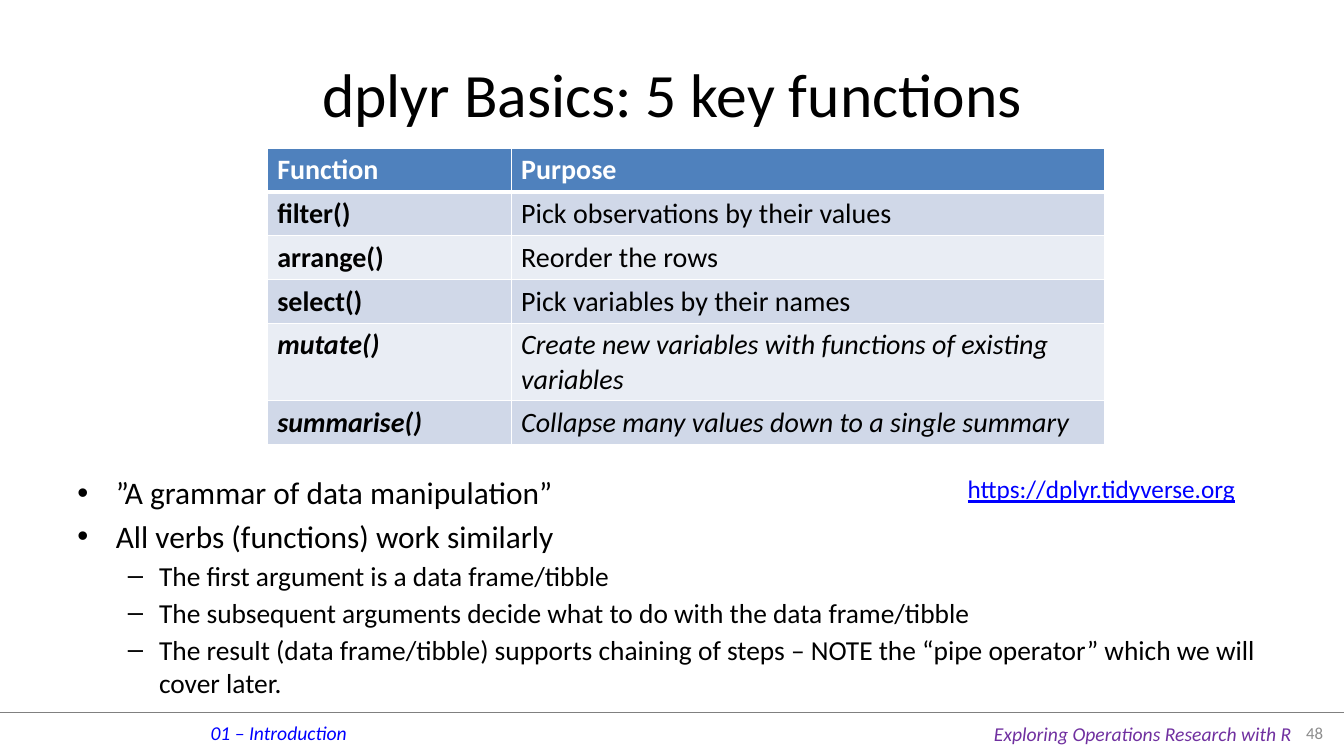
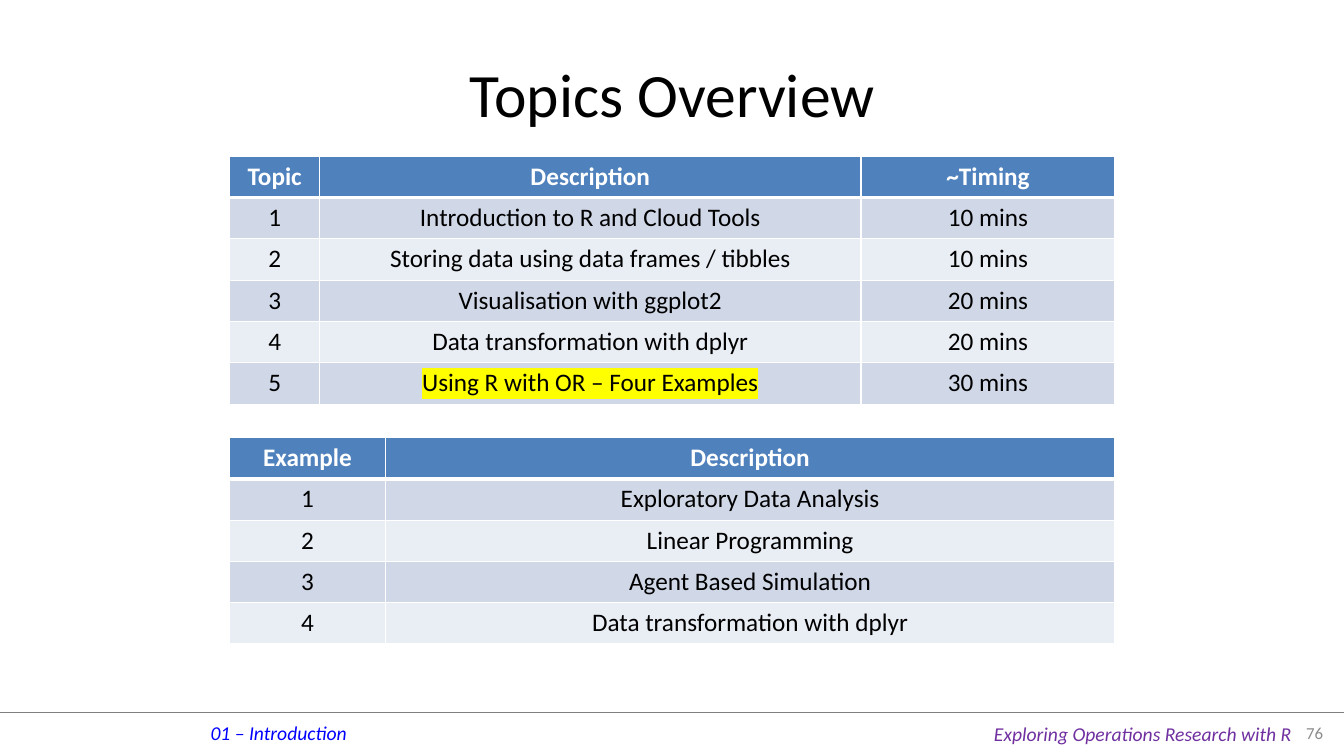
import pptx
import pptx.dml.color
import pptx.enum.shapes
import pptx.enum.text
import pptx.oxml
import pptx.oxml.ns
import pptx.util
from lxml import etree

In, Pt = pptx.util.Inches, pptx.util.Pt
ALIGN = pptx.enum.text.PP_ALIGN
ANCHOR = pptx.enum.text.MSO_ANCHOR
qn = pptx.oxml.ns.qn

WIDTH, HEIGHT = 13.33, 7.5
FONT = "Calibri"
BLACK, WHITE, GREY, RULE = "000000", "FFFFFF", "8C8C8C", "808080"
BLUE, PURPLE, YELLOW = "0000FF", "7030A0", "FFFF00"
HEADER, BANDS = "4F81BD", ("D0D8E8", "E9EDF4")
ROW_H, FOOT_Y = 0.41, 7.07
MARGIN, BODY_W, BODY_Y = 0.67, 12, 4.65

FUNCTIONS = [
    ("Function", "Purpose"),
    ("filter()", "Pick observations by their values"),
    ("arrange()", "Reorder the rows"),
    ("select()", "Pick variables by their names"),
    ("mutate()", "Create new variables with functions of existing variables"),
    ("summarise()", "Collapse many values down to a single summary"),
]
ITALIC_ROWS = (4, 5)
BULLETS = [
    (0, "”A grammar of data manipulation”"),
    (0, "All verbs (functions) work similarly"),
    (1, "The first argument is a data frame/tibble"),
    (1, "The subsequent arguments decide what to do with the data frame/tibble"),
    (1, "The result (data frame/tibble) supports chaining of steps – NOTE the "
        "“pipe operator” which we will cover later."),
]
# level: bullet, left indent, hanging indent, size, space before
LEVELS = [("•", 0.38, 0.38, 22.4, 4), ("–", 0.81, 0.31, 19.6, 3)]
TOPICS = [
    ("Topic", "Description", "~Timing"),
    ("1", "Introduction to R and Cloud Tools", "10 mins"),
    ("2", "Storing data using data frames / tibbles", "10 mins"),
    ("3", "Visualisation with ggplot2", "20 mins"),
    ("4", "Data transformation with dplyr", "20 mins"),
    ("5", "Using R with OR – Four Examples", "30 mins"),
]
CURRENT_TOPIC = (5, 1)
EXAMPLES = [
    ("Example", "Description"),
    ("1", "Exploratory Data Analysis"),
    ("2", "Linear Programming"),
    ("3", "Agent Based Simulation"),
    ("4", "Data transformation with dplyr"),
]


def rgb(color):
    return pptx.dml.color.RGBColor.from_string(color)


def add_run(p, text, size, color=BLACK, bold=False, italic=False, underline=False):
    r = p.add_run()
    r.text = text
    f = r.font
    f.name, f.size, f.color.rgb = FONT, Pt(size), rgb(color)
    f.bold, f.italic, f.underline = bold, italic, underline
    return r


def highlight(r, color):
    mark = etree.Element(qn("a:highlight"))
    etree.SubElement(mark, qn("a:srgbClr"), val=color)
    r.font._element.find(qn("a:solidFill")).addnext(mark)


def add_box(s, x, y, w, h, wrap=True, anchor=ANCHOR.TOP):
    tf = s.shapes.add_textbox(In(x), In(y), In(w), In(h)).text_frame
    tf.word_wrap, tf.vertical_anchor = wrap, anchor
    return tf


def add_line_of_text(s, box, text, size, align=ALIGN.LEFT, wrap=True,
                     anchor=ANCHOR.TOP, **style):
    p = add_box(s, *box, wrap=wrap, anchor=anchor).paragraphs[0]
    p.alignment = align
    add_run(p, text, size, **style)


def add_bullets(s, items):
    tf = add_box(s, MARGIN, BODY_Y, BODY_W, 2.17)
    for i, (level, text) in enumerate(items):
        char, left, hang, size, before = LEVELS[level]
        p = tf.add_paragraph() if i else tf.paragraphs[0]
        pPr = p._p.get_or_add_pPr()
        pPr.set("marL", str(In(left)))
        pPr.set("indent", str(-In(hang)))
        etree.SubElement(pPr, qn("a:buFont"), typeface="Arial")
        etree.SubElement(pPr, qn("a:buChar"), char=char)
        p.level = level
        if i:
            p.space_before = Pt(before)
        add_run(p, text, size)


def set_borders(cell, row):
    """White grid, with a heavier line under the header row."""
    widths = {"L": 1, "R": 1, "T": 3 if row == 1 else 1, "B": 3 if row == 0 else 1}
    tcPr = cell._tc.get_or_add_tcPr()
    for i, (side, width) in enumerate(widths.items()):
        ln = etree.Element(qn("a:ln" + side), w=str(Pt(width)))
        fill = etree.SubElement(ln, qn("a:solidFill"))
        etree.SubElement(fill, qn("a:srgbClr"), val=WHITE)
        tcPr.insert(i, ln)


def add_grid(s, x, y, cols, rows, size, align=ALIGN.CENTER, bold_first=False,
             italic_rows=(), marked=None):
    t = s.shapes.add_table(len(rows), len(cols), In(x), In(y),
                           In(sum(cols)), In(ROW_H * len(rows))).table
    for column, width in zip(t.columns, cols):
        column.width = In(width)
    for i, texts in enumerate(rows):
        t.rows[i].height = In(ROW_H)
        for j, text in enumerate(texts):
            cell = t.cell(i, j)
            cell.fill.solid()
            cell.fill.fore_color.rgb = rgb(BANDS[(i - 1) % 2] if i else HEADER)
            set_borders(cell, i)
            p = cell.text_frame.paragraphs[0]
            p.alignment = align
            r = add_run(p, text, size, BLACK if i else WHITE,
                        bold=i == 0 or (bold_first and j == 0),
                        italic=i in italic_rows)
            if (i, j) == marked:
                highlight(r, YELLOW)


def add_slide(prs, title, number):
    """Blank slide with the shared title, rule and footer."""
    s = prs.slides.add_slide(prs.slide_layouts[6])
    rule = s.shapes.add_connector(pptx.enum.shapes.MSO_CONNECTOR.STRAIGHT,
                                  0, In(FOOT_Y), In(WIDTH), In(FOOT_Y))
    rule.line.color.rgb, rule.line.width = rgb(RULE), Pt(0.25)
    etree.SubElement(rule._element.spPr, qn("a:effectLst"))
    add_line_of_text(s, (1.99, 7.1, 1.57, 0.34), "01 – Introduction", 14,
                     wrap=False, color=BLUE, italic=True)
    add_line_of_text(s, (9.76, 7.11, 3.18, 0.34), "Exploring Operations Research with R",
                     14, wrap=False, color=PURPLE, italic=True)
    add_line_of_text(s, (12.67, FOOT_Y, 0.55, 0.39), str(number), 12, ALIGN.RIGHT,
                     anchor=ANCHOR.MIDDLE, color=GREY)
    add_line_of_text(s, (MARGIN, 0.3, BODY_W, 1.25), title, 44, ALIGN.CENTER,
                     anchor=ANCHOR.MIDDLE)
    return s


def main():
    prs = pptx.Presentation()
    prs.slide_width, prs.slide_height = In(WIDTH), In(HEIGHT)

    s = add_slide(prs, "dplyr Basics: 5 key functions", 48)
    add_bullets(s, BULLETS)
    add_grid(s, 2.65, 1.47, (2.42, 5.89), FUNCTIONS, 20, ALIGN.LEFT,
             bold_first=True, italic_rows=ITALIC_ROWS)
    add_line_of_text(s, (9.5, BODY_Y, 2.94, 0.4), "https://dplyr.tidyverse.org", 18,
                     color=BLUE, underline=True)

    s = add_slide(prs, "Topics Overview", 76)
    add_grid(s, 2.28, 1.55, (0.89, 5.37, 2.52), TOPICS, 18, marked=CURRENT_TOPIC)
    add_grid(s, 2.28, 4.34, (1.54, 7.24), EXAMPLES, 18)

    prs.save("out.pptx")


if __name__ == "__main__":
    main()
